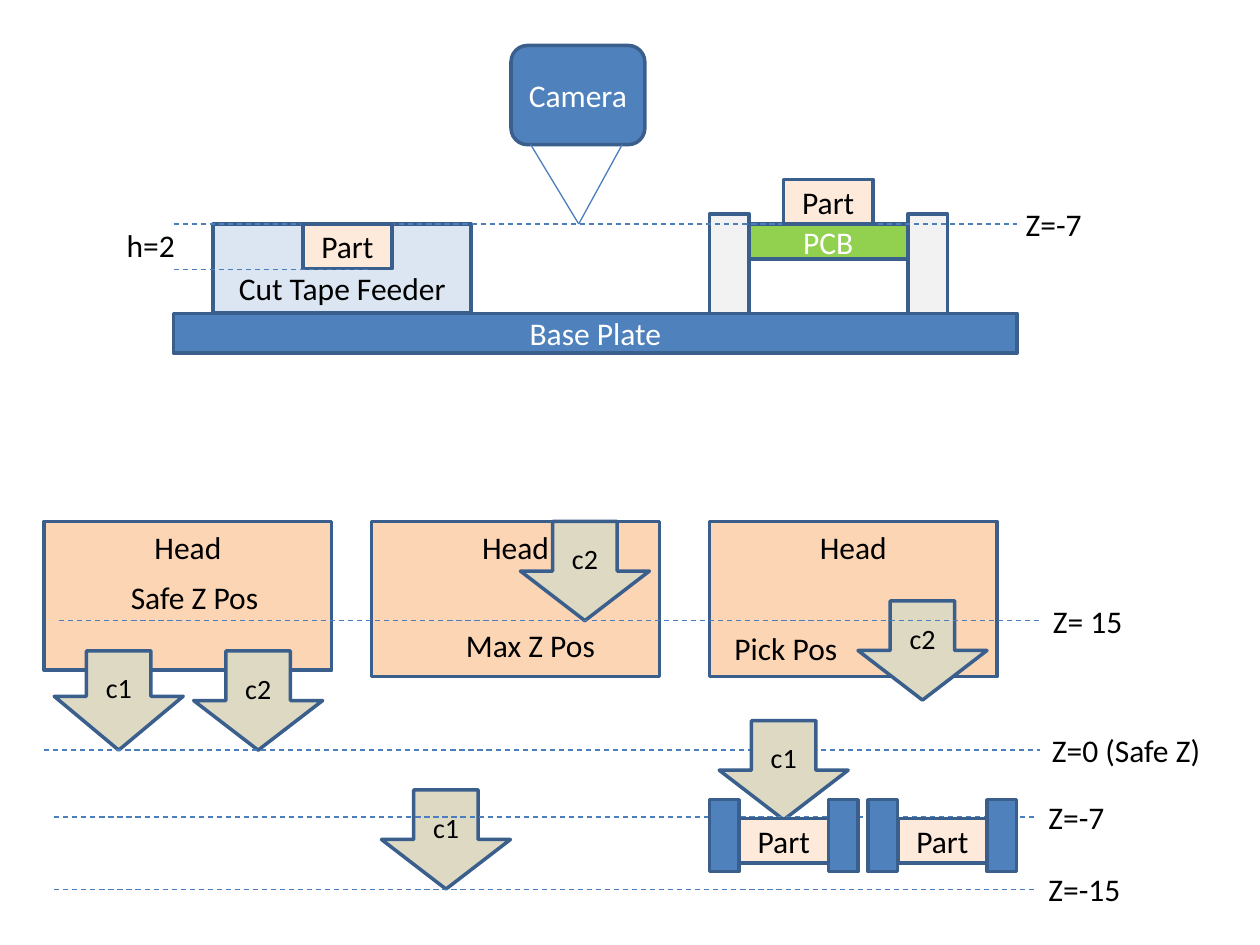
from dataclasses import dataclass

from lxml import etree
from pptx import Presentation
from pptx.dml.color import RGBColor
from pptx.enum import dml, shapes, text
from pptx.oxml import ns
from pptx.util import Pt

KIND = shapes.MSO_SHAPE
MID = text.MSO_ANCHOR.MIDDLE
TOP = text.MSO_ANCHOR.TOP
LOW = text.MSO_ANCHOR.BOTTOM


@dataclass(frozen=True)
class Theme:
    font: str = "Calibri"
    size: float = 18
    small: float = 16
    edge: str = "3A5F8C"
    rule: str = "4B7EBC"
    blue: str = "4F81BD"
    post: str = "F2F2F2"
    board: str = "92D050"
    feeder: str = "DCE6F2"
    chip: str = "FDEADA"
    head: str = "FCD5B5"
    arrow: str = "DDD9C3"
    dark: str = "000000"
    light: str = "FFFFFF"


T = Theme()


@dataclass(frozen=True)
class Box:
    x: float
    y: float
    w: float
    h: float
    fill: str
    label: str = ""
    ink: str = T.dark
    anchor: text.MSO_ANCHOR = MID
    kind: KIND = KIND.RECTANGLE
    size: float = T.size


@dataclass(frozen=True)
class Level:
    left: float
    right: float
    y: float
    label: str


deck = Presentation()
deck.slide_width, deck.slide_height = Pt(720), Pt(540)
slide = deck.slides.add_slide(deck.slide_layouts[6])


def style(par, size: float, ink: str) -> None:
    par.font.name = T.font
    par.font.size = Pt(size)
    par.font.color.rgb = RGBColor.from_string(ink)


def draw(box: Box):
    shape = slide.shapes.add_shape(
        box.kind, Pt(box.x), Pt(box.y), Pt(box.w), Pt(box.h))
    shape.shadow.inherit = False
    shape.fill.solid()
    shape.fill.fore_color.rgb = RGBColor.from_string(box.fill)
    shape.line.color.rgb = RGBColor.from_string(T.edge)
    shape.line.width = Pt(2)
    if box.label:
        frame = shape.text_frame
        frame.vertical_anchor = box.anchor
        par = frame.paragraphs[0]
        par.text = box.label
        par.alignment = text.PP_ALIGN.CENTER
        style(par, box.size, box.ink)
    return shape


def line(x1: float, y1: float, x2: float, y2: float, dash: bool = True) -> None:
    rule = slide.shapes.add_connector(
        shapes.MSO_CONNECTOR.STRAIGHT, Pt(x1), Pt(y1), Pt(x2), Pt(y2))
    rule.line.color.rgb = RGBColor.from_string(T.rule)
    rule.line.width = Pt(0.75)
    if dash:
        rule.line.dash_style = dml.MSO_LINE.DASH
    etree.SubElement(rule._element.spPr, ns.qn("a:effectLst"))


def note(x: float, y: float, w: float, label: str) -> None:
    frame = slide.shapes.add_textbox(Pt(x), Pt(y), Pt(w), Pt(29)).text_frame
    frame.word_wrap = False
    frame.auto_size = text.MSO_AUTO_SIZE.SHAPE_TO_FIT_TEXT
    par = frame.paragraphs[0]
    par.text = label
    style(par, T.size, T.dark)


def level(row: Level, w: float) -> None:
    line(row.left, row.y, row.right, row.y)
    note(row.right, row.y - 14.4, w, row.label)


def chip(x: float, y: float) -> None:
    draw(Box(x, y, 51, 25.5, T.chip, "Part"))


def head(x: float, h: float) -> None:
    draw(Box(x, 298, 164.4, h, T.head, "Head", anchor=TOP))


def arrow(x: float, y: float, label: str):
    return draw(Box(x, y, 73.7, 56.7, T.arrow, label,
                    kind=KIND.DOWN_ARROW, size=T.small))


def clamp(x: float) -> None:
    for left in (x, x + 68):
        draw(Box(left, 457, 17, 41, T.blue))
    chip(x + 17, 467.8)


def bench() -> None:
    draw(Box(99.2, 179, 482, 22.7, T.blue, "Base Plate", T.light))
    for x in (405.4, 518.7):
        draw(Box(x, 122.4, 22.7, 56.7, T.post))
    draw(Box(428, 128, 90.7, 20, T.board, "PCB", T.light))
    draw(Box(121.9, 128, 147.4, 51, T.feeder, "Cut Tape Feeder", anchor=LOW))
    line(99.2, 128, 581, 128)
    chip(173, 128)
    chip(447.8, 102.5)
    draw(Box(292, 26, 76.5, 56.7, T.blue, "Camera", T.light,
             kind=KIND.ROUNDED_RECTANGLE))
    for x in (303.3, 355.5):
        line(x, 82.7, 330.7, 128, dash=False)
    note(579, 113.8, 47, "Z=-7")
    line(99.2, 154, 212.6, 154)
    note(65.3, 125.4, 42.5, "h=2")


def heads() -> None:
    arrow(31, 372, "c1").adjustments[1] = 0.543
    arrow(110.7, 372, "c2")
    level(Level(25.2, 594, 428.6, "Z=0 (Safe Z)"), 100)
    head(212.4, 88.6)
    arrow(218, 451.4, "c1")
    arrow(297.4, 298, "c2")
    level(Level(31, 592, 508.2, "Z=-15"), 56)
    head(405.4, 88.6)
    arrow(411, 411.8, "c1")
    arrow(490.3, 343.4, "c2")
    level(Level(33.8, 594.6, 354.7, "Z= 15"), 55)
    level(Level(31, 592, 466.8, "Z=-7"), 47)
    clamp(405.4)
    note(67.7, 326.9, 88, "Safe Z Pos")
    note(259.2, 354.2, 88.5, "Max Z Pos")
    note(412.6, 355.7, 73.5, "Pick Pos")
    clamp(496)


head(25.2, 85)
bench()
heads()
deck.save("out.pptx")
